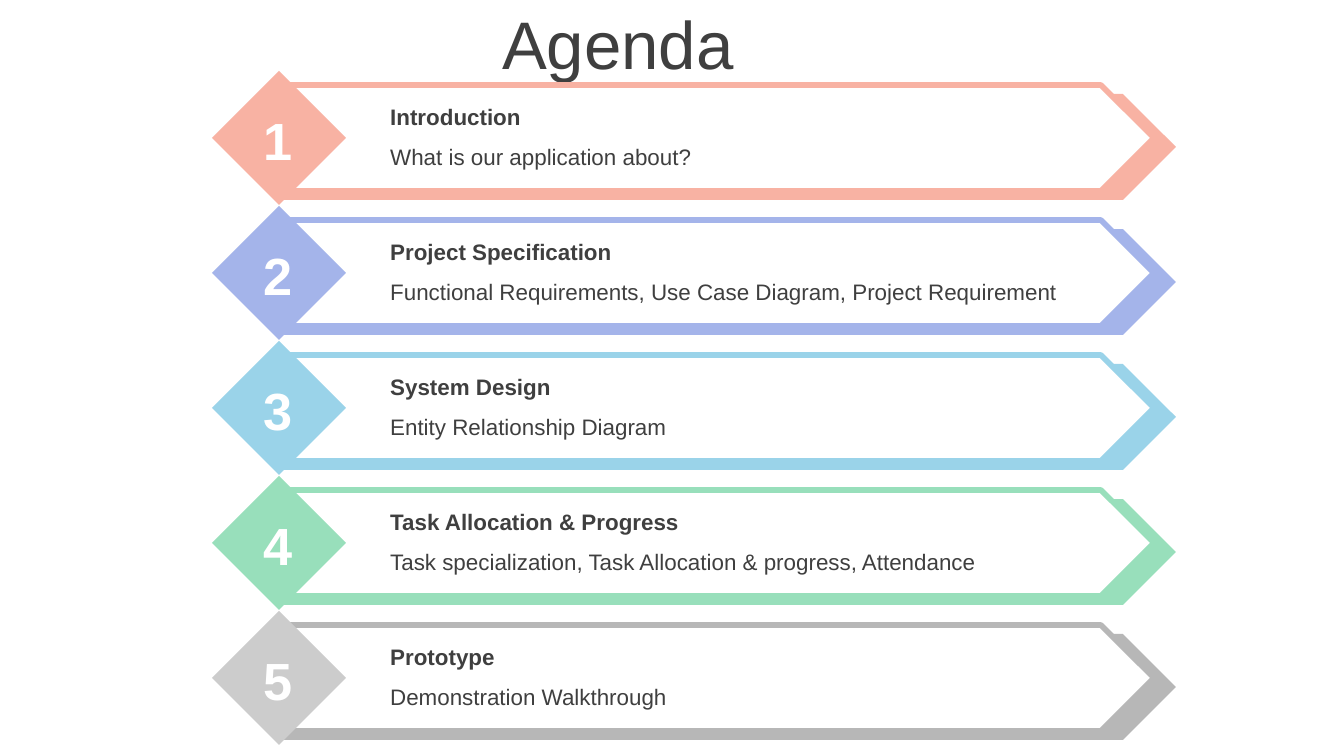
from dataclasses import dataclass

from pptx import Presentation
from pptx.dml.color import RGBColor
from pptx.enum.shapes import MSO_SHAPE as Shape
from pptx.enum.text import MSO_ANCHOR as Anchor, MSO_AUTO_SIZE as AutoSize, PP_ALIGN as Align
from pptx.util import Emu, Pt

PX = 914400 / 134.4
FONT = "Arial"
DARK, WHITE = "3F3F3F", "FFFFFF"
FIRST_TOP, ROW_PITCH = 71, 135


@dataclass(frozen=True)
class AgendaItem:
    heading: str
    detail: str
    band: str
    diamond: str


AGENDA = [
    AgendaItem("Introduction", "What is our application about?", "F8B2A3", "F8B2A3"),
    AgendaItem("Project Specification",
               "Functional Requirements, Use Case Diagram, Project Requirement",
               "A4B4EA", "A4B4EA"),
    AgendaItem("System Design", "Entity Relationship Diagram", "9AD3E9", "9AD3E9"),
    AgendaItem("Task Allocation & Progress",
               "Task specialization, Task Allocation & progress, Attendance",
               "98DFBB", "98DFBB"),
    AgendaItem("Prototype", "Demonstration Walkthrough", "B7B7B7", "CCCCCC"),
]


def px(length: int) -> Emu:
    return Emu(round(length * PX))


def color(hex_value: str) -> RGBColor:
    return RGBColor.from_string(hex_value)


def write(holder, text: str, *, size: int = 12, ink: str = DARK, bold: bool = False,
          align=Align.LEFT, anchor=Anchor.TOP) -> None:
    frame = holder.text_frame
    frame.word_wrap = True
    frame.auto_size = AutoSize.NONE
    frame.vertical_anchor = anchor
    paragraph = frame.paragraphs[0]
    paragraph.alignment = align
    run = paragraph.add_run()
    run.text = text
    run.font.name = FONT
    run.font.size = Pt(size)
    run.font.bold = bold
    run.font.color.rgb = color(ink)


def add_label(slide, box: tuple[int, int, int, int], text: str, **style) -> None:
    write(slide.shapes.add_textbox(*map(px, box)), text, **style)


def add_block(slide, kind: Shape, box: tuple[int, int, int, int], fill: str,
              outline: str | None = None) -> None:
    block = slide.shapes.add_shape(kind, *map(px, box))
    block.shadow.inherit = False
    block.fill.solid()
    block.fill.fore_color.rgb = color(fill)
    if outline:
        block.line.color.rgb = color(outline)
        block.line.width = Pt(3)
    else:
        block.line.fill.background()


def add_agenda_row(slide, number: int, item: AgendaItem, top: int) -> None:
    # Coloured band behind, white arrow in front, numbered diamond
    add_block(slide, Shape.PENTAGON, (284, top + 23, 892, 106), item.band)
    add_block(slide, Shape.PENTAGON, (284, top + 14, 870, 106), WHITE, item.band)
    add_block(slide, Shape.DIAMOND, (212, top, 134, 134), item.diamond)
    add_label(slide, (249, top + 30, 59, 77), str(number), size=28, ink=WHITE, bold=True,
              align=Align.CENTER, anchor=Anchor.MIDDLE)
    # Heading and detail
    add_label(slide, (377, top + 26, 699, 40), item.heading, bold=True)
    add_label(slide, (377, top + 66, 699, 40), item.detail)


def main() -> None:
    deck = Presentation()
    deck.slide_width, deck.slide_height = px(1344), px(756)
    slide = deck.slides.add_slide(deck.slide_layouts[5])

    # Title
    title = slide.shapes.title
    title.left, title.top, title.width, title.height = map(px, (-54, 0, 1344, 85))
    write(title, "Agenda", size=36, align=Align.CENTER, anchor=Anchor.MIDDLE)

    # Agenda rows
    for index, item in enumerate(AGENDA):
        add_agenda_row(slide, index + 1, item, FIRST_TOP + index * ROW_PITCH)

    deck.save("out.pptx")


if __name__ == "__main__":
    main()
